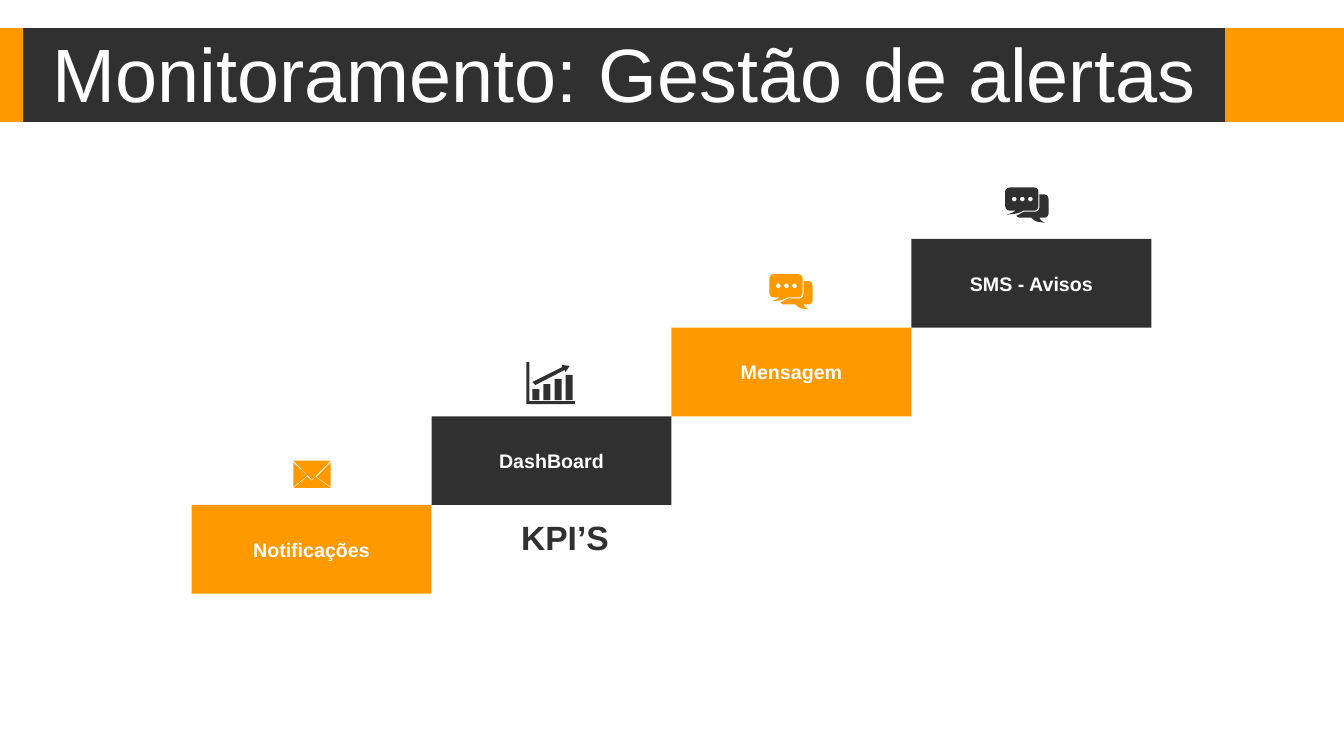
from dataclasses import dataclass
from math import cos, pi, sin

from pptx import Presentation
from pptx.dml.color import RGBColor
from pptx.enum.shapes import MSO_SHAPE
from pptx.enum.text import MSO_ANCHOR, PP_ALIGN
from pptx.shapes.autoshape import Shape
from pptx.slide import Slide
from pptx.util import Inches, Pt

RECTANGLE = MSO_SHAPE.RECTANGLE
MIDDLE = MSO_ANCHOR.MIDDLE
LEFT, CENTER = PP_ALIGN.LEFT, PP_ALIGN.CENTER

ORANGE = RGBColor(0xFE, 0x99, 0x00)
CHARCOAL = RGBColor(0x30, 0x30, 0x30)
WHITE = RGBColor(0xFF, 0xFF, 0xFF)

SLIDE_WIDTH, SLIDE_HEIGHT = 13.33, 7.5
BAND_TOP, BAND_HEIGHT = 0.28, 0.93
STAIR_LEFT, STAIR_TOP = 1.9, 5.01
COLUMN, ROW = 2.38, 0.88
ICON_UNIT = 0.01
CURVE_STEPS = 8

TITLE_FORMAT = {"name": "Arial", "size": Pt(54), "bold": False}
STEP_FORMAT = {"name": "Arial", "size": Pt(14), "bold": True}
KPI_FORMAT = {"name": "Arial", "size": Pt(24), "bold": True}

Point = tuple[float, float]
Contour = list[Point]


@dataclass(frozen=True)
class Band:
    left: float
    width: float
    color: RGBColor


@dataclass(frozen=True)
class Step:
    label: str
    color: RGBColor
    icon: list[Contour]
    icon_shift: float
    icon_rise: float


def rectangle(left: float, top: float, right: float, bottom: float) -> Contour:
    return [(left, top), (right, top), (right, bottom), (left, bottom)]


def circle(center_x: float, center_y: float, radius: float) -> Contour:
    angles = [2 * pi * i / 16 for i in range(16)]
    return [(center_x + radius * cos(a), center_y + radius * sin(a)) for a in angles]


def curved(start: Point, *segments: tuple[float, ...]) -> Contour:
    points = [start]
    for segment in segments:
        if len(segment) == 2:
            points.append((segment[0], segment[1]))
            continue
        x0, y0 = points[-1]
        x1, y1, x2, y2, x3, y3 = segment
        for i in range(1, CURVE_STEPS + 1):
            t = i / CURVE_STEPS
            a, b, c, d = (1 - t) ** 3, 3 * t * (1 - t) ** 2, 3 * t * t * (1 - t), t ** 3
            points.append((a * x0 + b * x1 + c * x2 + d * x3,
                           a * y0 + b * y1 + c * y2 + d * y3))
    return points


ENVELOPE = [
    [(22, 16), (37, 27), (0, 27), (14, 16), (18.5, 20)],
    [(37, 2), (37, 26), (23, 16)],
    [(0, 2), (14, 15), (0, 26)],
    [(0, 0), (37, 0), (18.5, 19)],
]
BAR_CHART = [
    *[rectangle(6 + 11 * i, top, 13 + 11 * i, 38) for i, top in enumerate((27, 22, 17, 13))],
    [(35, 3), (43, 4), (39, 10), (38, 8), (9, 23), (6, 20), (36, 5)],
    [(0, 0), (3, 0), (3, 39), (48.5, 39), (48.5, 42), (0, 42)],
]
CHAT = [
    *[circle(x, 11.5, 2.3) for x in (9, 17, 25)],
    curved((34, 7), (39, 7), (41, 7, 43, 9, 43, 12), (43, 26), (43, 28, 41, 30, 39, 30),
           (34, 30), (35, 32, 35, 33, 39.5, 35), (31, 34, 30, 34, 26, 30), (15, 30),
           (13, 30, 12, 29, 11, 28), (14, 27, 16, 25, 19, 24), (30, 24),
           (32, 24, 34, 22, 34, 19)),
    curved((5, 0), (28.5, 0), (31, 0, 33, 2, 33, 4), (33, 18), (33, 21, 31, 23, 28.5, 23),
           (18, 23), (13, 26, 11, 26, 2, 27), (7, 25, 8, 25, 10, 23), (5, 23),
           (2, 23, 0, 21, 0, 18), (0, 4), (0, 2, 2, 0, 5, 0)),
]

BANDS = [
    Band(12.15, 1.18, ORANGE),
    Band(0, 12.15, CHARCOAL),
    Band(0, 0.23, ORANGE),
]
STEPS = [
    Step("Notificações", ORANGE, ENVELOPE, 1.01, 0.44),
    Step("DashBoard", CHARCOAL, BAR_CHART, 0.94, 0.54),
    Step("Mensagem", ORANGE, CHAT, 0.97, 0.53),
    Step("SMS - Avisos", CHARCOAL, CHAT, 0.93, 0.51),
]


def paint(shape: Shape, color: RGBColor) -> None:
    shape.shadow.inherit = False
    shape.fill.solid()
    shape.fill.fore_color.rgb = color
    shape.line.fill.background()


def write(box: Shape, text: str, font_format: dict, color: RGBColor, align: PP_ALIGN) -> None:
    para = box.text_frame.paragraphs[0]
    para.alignment = align
    span = para.add_run()
    span.text = text
    for name, value in font_format.items():
        setattr(span.font, name, value)
    span.font.color.rgb = color


def add_box(shapes, left: float, top: float, width: float, height: float,
            color: RGBColor) -> Shape:
    box = shapes.add_shape(RECTANGLE, Inches(left), Inches(top), Inches(width), Inches(height))
    paint(box, color)
    return box


def add_icon(page: Slide, contours: list[Contour], left: float, top: float,
             color: RGBColor) -> None:
    placed = [[(Inches(left + x * ICON_UNIT), Inches(top + y * ICON_UNIT)) for x, y in contour]
              for contour in contours]
    builder = page.shapes.build_freeform(*placed[0][0])
    for i, contour in enumerate(placed):
        if i:
            builder.move_to(*contour[0])
        builder.add_line_segments(contour[1:], close=True)
    paint(builder.convert_to_shape(), color)


def add_title(page: Slide) -> None:
    title = page.shapes.title
    title.left, title.top = Inches(0.46), Inches(0.38)
    title.width, title.height = Inches(12.8), Inches(0.79)
    frame = title.text_frame
    frame.word_wrap = True
    frame.vertical_anchor = MIDDLE
    frame.margin_left = Inches(0.06)
    frame.paragraphs[0].line_spacing = 0.9
    write(title, "Monitoramento: Gestão de alertas", TITLE_FORMAT, WHITE, LEFT)
    title.element.getparent().append(title.element)


def add_stairs(page: Slide) -> None:
    stairs = page.shapes.add_group_shape()
    for i, step in enumerate(STEPS):
        left, top = STAIR_LEFT + i * COLUMN, STAIR_TOP - i * ROW
        box = add_box(stairs.shapes, left, top, COLUMN, ROW, step.color)
        box.text_frame.vertical_anchor = MIDDLE
        write(box, step.label, STEP_FORMAT, WHITE, CENTER)
        add_icon(page, step.icon, left + step.icon_shift, top - step.icon_rise, step.color)


def main() -> None:
    deck = Presentation()
    deck.slide_width, deck.slide_height = Inches(SLIDE_WIDTH), Inches(SLIDE_HEIGHT)
    page = deck.slides.add_slide(deck.slide_layouts.get_by_name("Title Only"))
    for band in BANDS:
        add_box(page.shapes, band.left, BAND_TOP, band.width, BAND_HEIGHT, band.color)
    add_title(page)
    add_stairs(page)
    kpi = page.shapes.add_textbox(Inches(5.07), Inches(5.08), Inches(1.6), Inches(0.5))
    kpi.text_frame.word_wrap = True
    write(kpi, "KPI’S", KPI_FORMAT, CHARCOAL, LEFT)
    deck.save("out.pptx")


if __name__ == "__main__":
    main()
